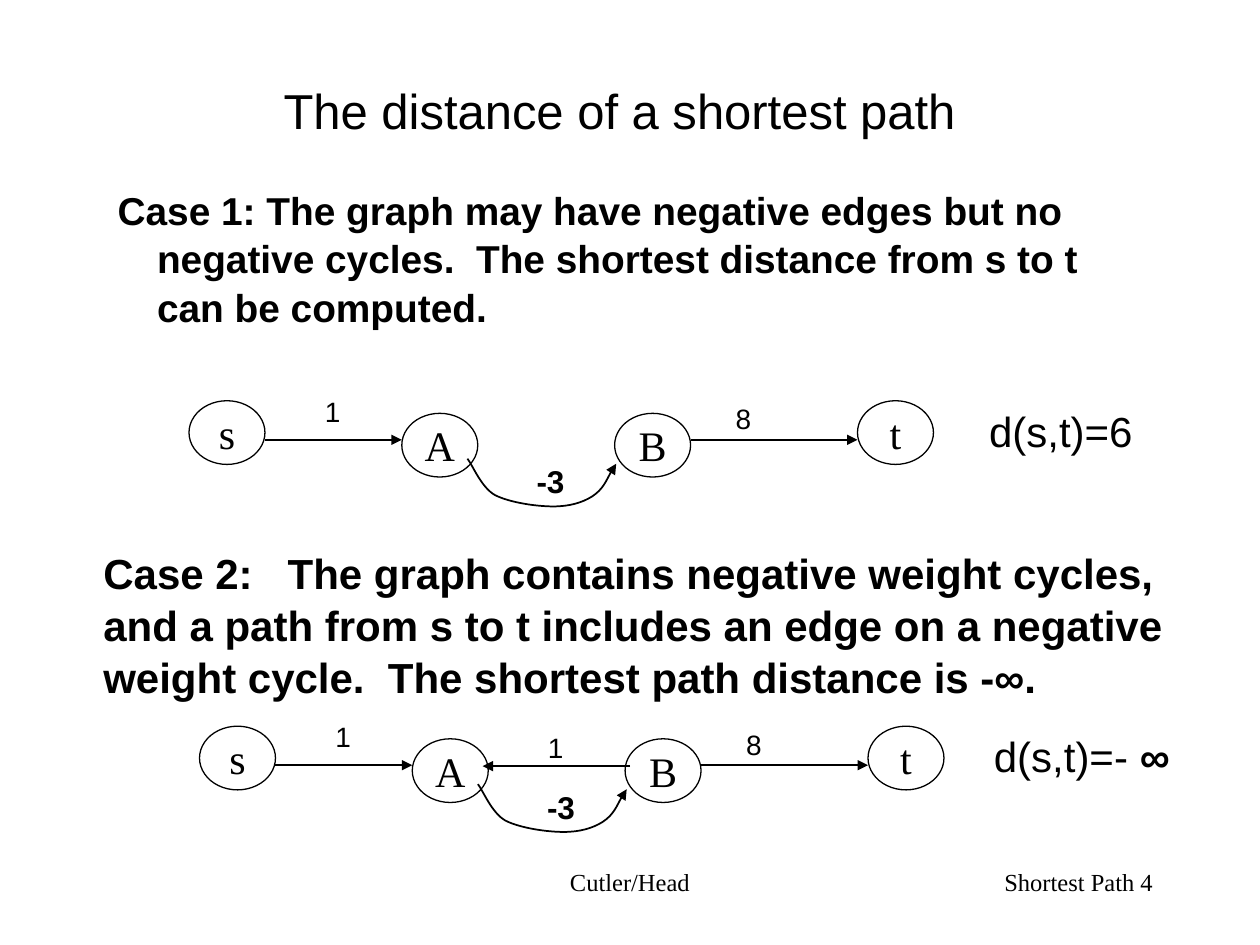
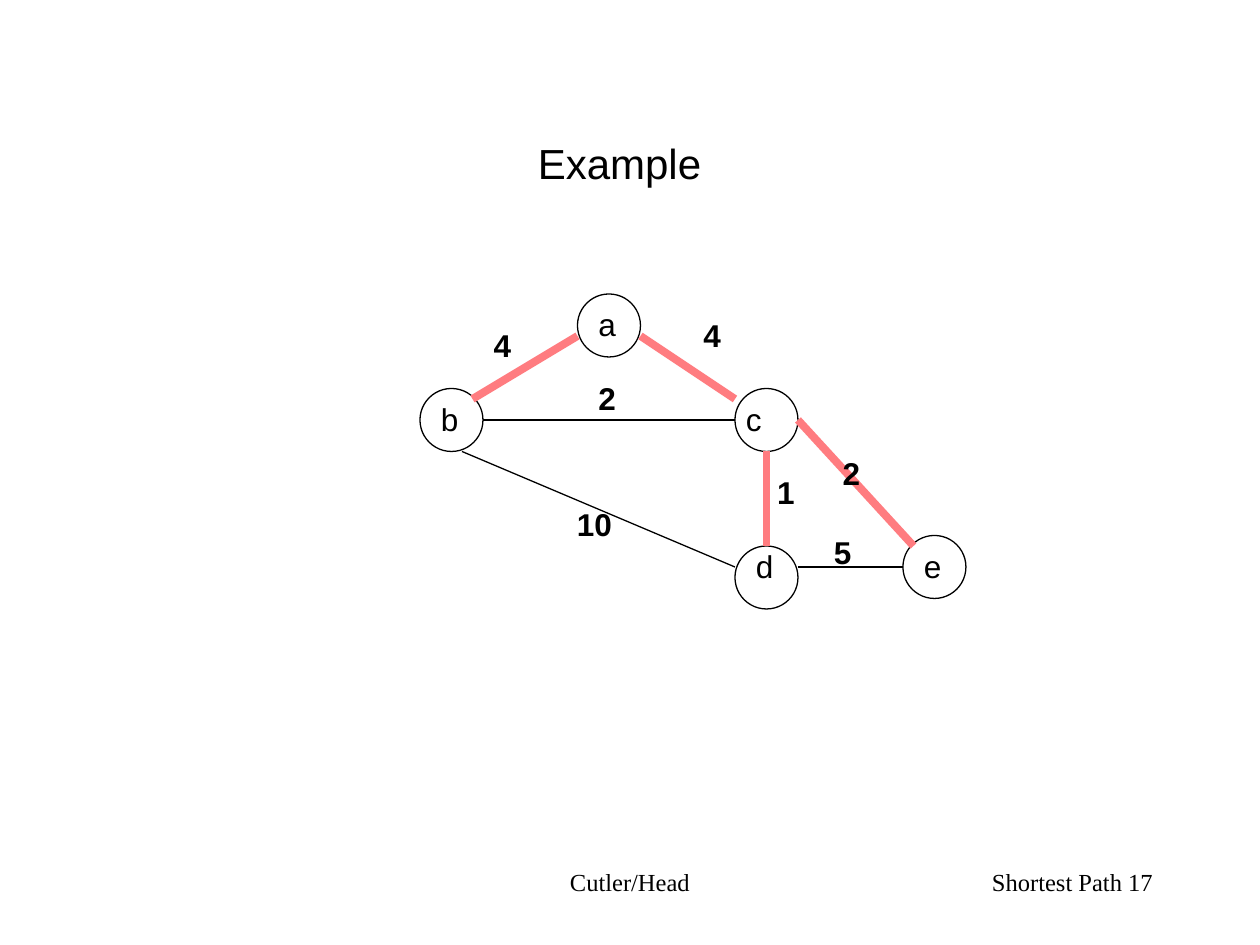
from dataclasses import dataclass

from lxml.etree import SubElement
from pptx import Presentation
from pptx.dml.color import RGBColor
from pptx.enum.shapes import MSO_CONNECTOR as CONN, MSO_SHAPE as SHAPE
from pptx.enum.text import MSO_ANCHOR as ANCHOR, MSO_AUTO_SIZE as FIT, PP_ALIGN as ALIGN
from pptx.oxml.ns import qn
from pptx.util import Pt


@dataclass(frozen=True)
class Theme:
    ink: RGBColor = RGBColor(0, 0, 0)
    tree: RGBColor = RGBColor(0xFF, 0x7C, 0x80)
    sans: str = "Arial"
    serif: str = "Times New Roman"
    title: float = 28
    large: float = 24
    body: float = 22.2
    label: float = 18
    weight: float = 16
    footer: float = 14
    thin: float = 0.75
    edge: float = 1
    medium: float = 1.5
    thick: float = 4.5


T = Theme()

# Content: the two cases
AUTHORS = "Cutler/Head"
CASE_TITLE = "The distance of a shortest path"
CASE_1 = ("Case 1: The graph may have negative edges but no negative cycles.  "
          "The shortest distance from s to t  can be computed.")
CASE_2 = [
    "Case 2:   The graph contains negative weight cycles,",
    "and a path from s to t includes an edge on a negative",
    "weight cycle.  The shortest path distance is -∞.",
]

# Case graph, relative to the corner of node s
CASE_ORIGINS = [(108, 229), (114, 415)]
CASE_NODE = (43.4, 36.4)
CASE_NODES = {"A": (121.6, 7.2), "B": (243.2, 7.2), "s": (0, 0), "t": (382, 0)}
CASE_EDGES = [("s", "A"), ("B", "t")]
CASE_EDGE_Y = 22.3
CASE_WEIGHTS = [("1", 70.6, -7.2), ("8", 305.3, -2.9)]
NEGATIVE_WEIGHT = ("-3", 191.5, 31.6)
NEGATIVE_CURVE = [  # start, then three Bézier points per segment
    (159.1, 33.1),
    (162, 36.7), (167, 49.6), (175, 54),
    (183.6, 58.3), (198.7, 60.4), (208.1, 60.4),
    (217.4, 60.4), (224.6, 58.3), (230.4, 54.7),
    (236.9, 50.4), (241.2, 39.6), (244.1, 36),
]
BACK_EDGE = ((246, 22.8), (161.8, 22.8))
BACK_WEIGHT = ("1", 192, -1)

# Content: the example graph
EXAMPLE_TITLE = "Example"
EXAMPLE_NODE = 36
EXAMPLE_NODES = {"b": (240, 222), "a": (330, 168), "c": (420, 222),
                 "d": (420, 312), "e": (516, 306)}
LETTER_OFFSETS = {"c": (-0.9, 2.9), "d": (4.9, -3.1)}
LETTER_OFFSET = (4.8, 2.9)
EXAMPLE_EDGES = [  # from, to, colour, width
    ((270, 228), (330, 192), T.tree, T.thick),
    ((366, 192), (420, 228), T.tree, T.thick),
    ((438, 258), (438, 312), T.tree, T.thick),
    ((276, 240), (420, 240), T.ink, T.edge),
    ((456, 240), (522, 312), T.tree, T.thick),
    ((456, 324), (516, 324), T.ink, T.medium),
    ((264, 258), (420, 324), T.ink, T.thin),
]
EXAMPLE_WEIGHTS = [
    ("4", 275, 183), ("4", 394.8, 177), ("2", 334.8, 213), ("1", 437, 267),
    ("2", 474.5, 255.9), ("5", 469.5, 301), ("10", 322.6, 285),
]


# Text helpers
def add_run(p, text, size, font=T.sans, bold=False):
    r = p.add_run()
    r.text = text
    r.font.name, r.font.size, r.font.bold = font, Pt(size), bold
    r.font.color.rgb = T.ink


def set_frame(tf, wrap, anchor=ANCHOR.TOP):
    tf.auto_size = FIT.NONE
    tf.word_wrap = wrap
    tf.vertical_anchor = anchor
    tf.margin_left = tf.margin_right = Pt(7.2)
    tf.margin_top = tf.margin_bottom = Pt(3.6)


def place(shape, x, y, w, h):
    shape.left, shape.top, shape.width, shape.height = Pt(x), Pt(y), Pt(w), Pt(h)


def add_text(s, box, runs, size, font=T.sans, align=ALIGN.LEFT, wrap=False,
             anchor=ANCHOR.TOP):
    tf = s.shapes.add_textbox(*map(Pt, box)).text_frame
    set_frame(tf, wrap, anchor)
    p = tf.paragraphs[0]
    p.alignment = align
    for text, bold in runs:
        add_run(p, text, size, font, bold)
    return tf


def add_label(s, text, x, y, size=T.label, bold=False):
    width = 14.4 + 0.56 * size * len(text)
    add_text(s, (x, y, width, 7.2 + 1.2 * size), [(text, bold)], size)


def set_title(s, text, size, box):
    title = s.shapes.title
    place(title, *box)
    set_frame(title.text_frame, True, ANCHOR.MIDDLE)
    p = title.text_frame.paragraphs[0]
    p.alignment = ALIGN.CENTER
    add_run(p, text, size)


def add_footer(s, number):
    for text, x, w, align in [(AUTHORS, 246, 228, ALIGN.CENTER),
                              (f"Shortest Path {number}", 516, 150, ALIGN.RIGHT)]:
        add_text(s, (x, 492, w, 36), [(text, False)], T.footer, T.serif, align, True)


# Drawing helpers
def add_arrowhead(shape):
    ln = shape._element.spPr.find(qn("a:ln"))
    SubElement(ln, qn("a:tailEnd"), type="triangle")


def add_edge(s, start, end, color=T.ink, width=T.edge, arrow=False):
    line = s.shapes.add_connector(CONN.STRAIGHT, *map(Pt, (*start, *end)))
    line.line.color.rgb, line.line.width = color, Pt(width)
    SubElement(line._element.spPr, qn("a:effectLst"))
    if arrow:
        add_arrowhead_before_effects(line)


def add_arrowhead_before_effects(line):
    add_arrowhead(line)


def set_outline(shape, width):
    shape.shadow.inherit = False
    shape.fill.background()
    shape.line.color.rgb, shape.line.width = T.ink, Pt(width)


def add_node(s, x, y, w, h, letter=None):
    node = s.shapes.add_shape(SHAPE.OVAL, Pt(x), Pt(y), Pt(w), Pt(h))
    set_outline(node, T.thin)
    if letter:
        set_frame(node.text_frame, False, ANCHOR.MIDDLE)
        p = node.text_frame.paragraphs[0]
        p.alignment = ALIGN.CENTER
        add_run(p, letter, T.large, T.serif)


def add_curve(s, points):
    start, *rest = [(Pt(x), Pt(y)) for x, y in points]
    builder = s.shapes.build_freeform(*start)
    builder.add_line_segments(rest, close=False)
    curve = builder.convert_to_shape()
    set_outline(curve, T.edge)
    add_arrowhead(curve)
    # Regroup each three points into one Bézier segment
    outline = curve._element.find(".//" + qn("a:path"))
    steps = outline.findall(qn("a:lnTo"))
    for i in range(0, len(steps), 3):
        bezier = SubElement(outline, qn("a:cubicBezTo"))
        for step in steps[i:i + 3]:
            bezier.append(step[0])
            outline.remove(step)


def add_case_graph(s, origin, negative_cycle):
    def at(point):
        return origin[0] + point[0], origin[1] + point[1]

    for letter, corner in CASE_NODES.items():
        add_node(s, *at(corner), *CASE_NODE, letter)
    for a, b in CASE_EDGES:
        start = at((CASE_NODES[a][0] + CASE_NODE[0], CASE_EDGE_Y))
        add_edge(s, start, at((CASE_NODES[b][0], CASE_EDGE_Y)), arrow=True)
    add_curve(s, [at(point) for point in NEGATIVE_CURVE])
    text, *corner = NEGATIVE_WEIGHT
    add_label(s, text, *at(corner), bold=True)
    if negative_cycle:
        add_edge(s, *map(at, BACK_EDGE), width=T.thin, arrow=True)
    for text, *corner in CASE_WEIGHTS + [BACK_WEIGHT] * negative_cycle:
        add_label(s, text, *at(corner), T.weight)


# Slides
def build_cases(prs):
    s = prs.slides.add_slide(prs.slide_layouts[1])
    add_footer(s, 4)
    set_title(s, CASE_TITLE, T.title, (48, 30, 612, 66))

    body = s.placeholders[1]
    place(body, 24, 102, 642, 90)
    set_frame(body.text_frame, True)
    p = body.text_frame.paragraphs[0]
    pPr = p._p.get_or_add_pPr()
    pPr.set("marL", str(Pt(58.5)))
    pPr.set("indent", str(Pt(-22.5)))
    SubElement(pPr, qn("a:buNone"))
    p.space_before, p.line_spacing = Pt(0), 1.04
    add_run(p, CASE_1, T.body, bold=True)

    tf = add_text(s, (16, 309.6, 662.4, 93.6), [(CASE_2[0], True)], T.large,
                  anchor=ANCHOR.MIDDLE)
    for line in CASE_2[1:]:
        add_run(tf.add_paragraph(), line, T.large, bold=True)
    for p in tf.paragraphs:
        p._p.get_or_add_pPr().set("marL", str(Pt(36)))
        p.line_spacing = 1.04

    for i, origin in enumerate(CASE_ORIGINS):
        add_case_graph(s, origin, negative_cycle=i == 1)
    for box, runs in [((558, 228.2, 96.5, 36), [("d(s,t)=6", False)]),
                      ((560.2, 414, 116, 36), [("d(s,t)=- ", False), ("∞", True)])]:
        add_text(s, box, runs, T.large, align=ALIGN.CENTER, anchor=ANCHOR.MIDDLE)


def build_example(prs):
    s = prs.slides.add_slide(prs.slide_layouts[5])
    add_footer(s, 17)
    set_title(s, EXAMPLE_TITLE, T.large, (48, 48, 612, 90))
    for x, y in EXAMPLE_NODES.values():
        add_node(s, x, y, EXAMPLE_NODE, EXAMPLE_NODE)
    for edge in EXAMPLE_EDGES:
        add_edge(s, *edge)
    for weight in EXAMPLE_WEIGHTS:
        add_label(s, *weight, bold=True)
    for letter, (x, y) in EXAMPLE_NODES.items():
        dx, dy = LETTER_OFFSETS.get(letter, LETTER_OFFSET)
        add_label(s, letter, x + dx, y + dy)


def main():
    prs = Presentation()
    prs.slide_width, prs.slide_height = Pt(720), Pt(540)
    build_cases(prs)
    build_example(prs)
    prs.save("out.pptx")


if __name__ == "__main__":
    main()
